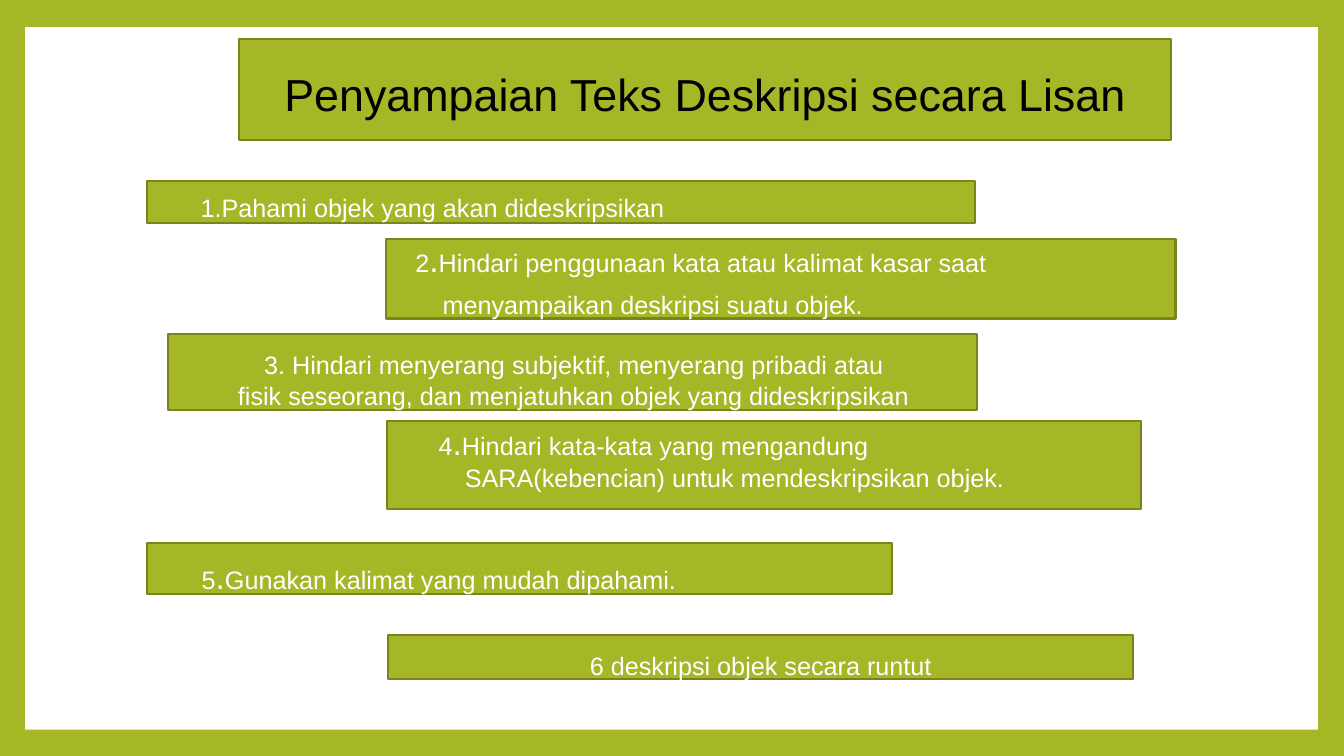
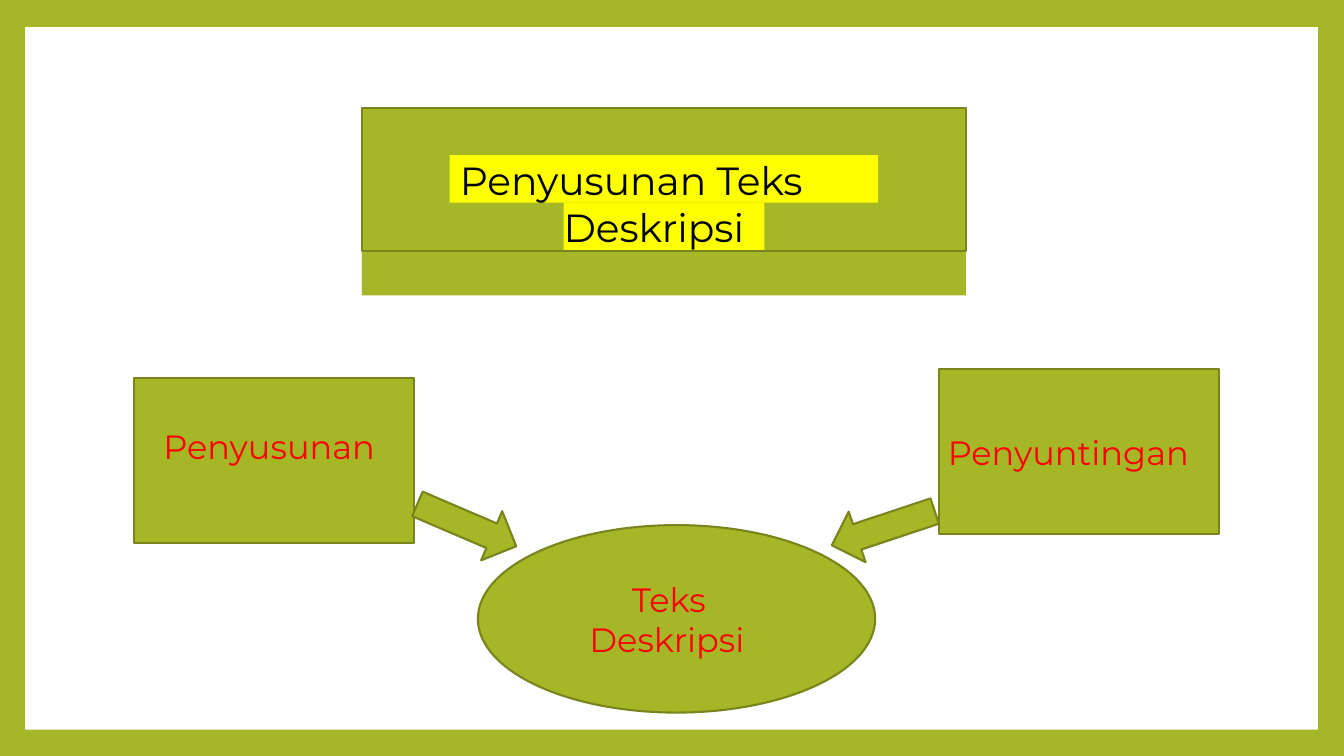
from math import atan2, degrees, hypot

from pptx import Presentation
from pptx.dml.color import RGBColor
from pptx.enum.shapes import MSO_SHAPE as Preset
from pptx.enum.text import MSO_ANCHOR as Anchor, MSO_AUTO_SIZE as AutoSize, PP_ALIGN as Align
from pptx.util import Inches, Pt

GREEN, OLIVE, YELLOW = "A5B626", "79851C", "FFFF00"
WHITE, BLACK, RED = "FFFFFF", "000000", "FF0000"
TITLE_ONLY = 5

# Place, top inset, (margin, first-line indent), line spacing, runs of (text, size)
TIPS = [
    ((1.46, 1.8, 8.21, 0.41), 0.11, (0.53, 0), None,
     [("1.Pahami objek yang akan dideskripsikan", 18)]),
    ((3.83, 2.37, 7.83, 0.79), 0, (0.56, -0.27), 28.8,
     [("2", 18), (".", 24), ("Hindari penggunaan kata atau kalimat kasar saat\n"
                             "menyampaikan deskripsi suatu objek.", 18)]),
    ((1.67, 3.31, 8.02, 0.76), 0.16, (0.69, 0.26), None,
     [("3. Hindari menyerang subjektif, menyerang pribadi atau\n"
       "fisik seseorang, dan menjatuhkan objek yang dideskripsikan", 18)]),
    ((3.84, 4.18, 7.48, 0.87), 0.01, (0.77, -0.26), None,
     [("4", 18), (".", 24), ("Hindari kata-kata yang mengandung\n"
                             "SARA(kebencian) untuk mendeskripsikan objek.", 18)]),
    ((1.46, 5.39, 7.39, 0.5), 0.12, (0.54, 0), None,
     [("5", 18), (".", 24), ("Gunakan kalimat yang mudah dipahami.", 18)]),
    ((3.85, 6.3, 7.39, 0.44), 0.15, None, None,
     [("6 deskripsi objek secara runtut", 18)]),
]


def paint(target, color):
    target.solid()
    target.fore_color.rgb = RGBColor.from_string(color)


def outline(shape):
    paint(shape.line.fill, OLIVE)
    shape.line.width = Pt(1.5)


def add_box(slide, place, fill=GREEN, preset=Preset.RECTANGLE, outlined=True):
    box = slide.shapes.add_shape(preset, *map(Inches, place))
    box.shadow.inherit = False
    paint(box.fill, fill)
    if outlined:
        outline(box)
    else:
        box.line.fill.background()
    return box


def write(box, runs, font, color, top=0, indent=None, spacing=None):
    """Fill a box with one paragraph; without an indent it is centred."""
    frame = box.text_frame
    frame.word_wrap = True
    frame.auto_size = AutoSize.NONE
    frame.vertical_anchor = Anchor.TOP
    frame.margin_left = frame.margin_right = frame.margin_bottom = 0
    frame.margin_top = Inches(top)
    para = frame.paragraphs[0]
    para.alignment = Align.LEFT if indent else Align.CENTER
    if indent:
        properties = para._p.get_or_add_pPr()
        for name, length in zip(("marL", "indent"), indent):
            properties.set(name, str(Inches(length)))
    if spacing:
        para.line_spacing = Pt(spacing)
    for text, size in runs:
        for number, line in enumerate(text.split("\n")):
            if number:
                para.add_line_break()
            span = para.add_run()
            span.text = line
            span.font.name = font
            span.font.size = Pt(size)
            paint(span.font.fill, color)


def place_title(slide, place):
    title = slide.shapes.title
    title.left, title.top, title.width, title.height = map(Inches, place)
    outline(title)
    return title


def add_arrow(slide, tail, tip, width=0.53):
    """Draw a block arrow from the middle of its tail to its tip."""
    across, down = tip[0] - tail[0], tip[1] - tail[1]
    length = hypot(across, down)
    left = (tail[0] + tip[0] - length) / 2
    top = (tail[1] + tip[1] - width) / 2
    arrow = add_box(slide, (left, top, length, width), preset=Preset.RIGHT_ARROW)
    arrow.rotation = degrees(atan2(down, across))


def frame_master(deck, slide):
    """Give the master a green border around a white panel."""
    master = deck.slide_master
    paint(master.background.fill, GREEN)
    panel = add_box(slide, (0.25, 0.27, 12.82, 6.97), WHITE, outlined=False)
    panel.element.nvSpPr.cNvPr.set("id", "20")
    master.shapes.element.insert(2, panel.element)


def build_delivery(slide):
    title = place_title(slide, (2.37, 0.39, 9.24, 1))
    paint(title.fill, GREEN)
    write(title, [("Penyampaian Teks Deskripsi secara Lisan", 32)],
          "Arial", BLACK, 0.27, (0.45, 0))
    for place, top, indent, spacing, runs in TIPS:
        write(add_box(slide, place), runs, "Arial", WHITE, top, indent, spacing)


def build_composition(slide):
    for place, fill in [((3.59, 1.07, 5.99, 1.86), GREEN),
                        ((4.46, 1.54, 4.25, 0.47), YELLOW),
                        ((5.59, 2.01, 1.99, 0.47), YELLOW)]:
        add_box(slide, place, fill, outlined=False)
    title = place_title(slide, (3.59, 1.07, 5.99, 1.42))
    slide.shapes.element.append(title.element)  # in front of the yellow bands
    write(title, [("Penyusunan Teks Deskripsi", 28)],
          "Montserrat", BLACK, 0.48, (2, -1.03))

    for text, place, preset, top, indent in [
        ("Penyusunan", (1.33, 3.75, 2.78, 1.64), Preset.RECTANGLE, 0.48, (0.29, 0)),
        ("Penyuntingan", (9.31, 3.66, 2.78, 1.64), Preset.RECTANGLE, 0.63, (0.09, 0)),
        ("Teks\nDeskripsi", (4.74, 5.21, 3.94, 1.86), Preset.OVAL, 0.26, (0.53, 0.42)),
    ]:
        box = add_box(slide, place, preset=preset)
        write(box, [(text, 24)], "Montserrat", RED, top, indent)

    add_arrow(slide, (4.14, 5), (5.12, 5.42))
    add_arrow(slide, (9.27, 5.07), (8.25, 5.41))


def main():
    deck = Presentation()
    deck.slide_width, deck.slide_height = Inches(13.33), Inches(7.5)
    layout = deck.slide_layouts[TITLE_ONLY]
    delivery, composition = (deck.slides.add_slide(layout) for _ in range(2))
    frame_master(deck, delivery)
    build_delivery(delivery)
    build_composition(composition)
    deck.save("out.pptx")


if __name__ == "__main__":
    main()
